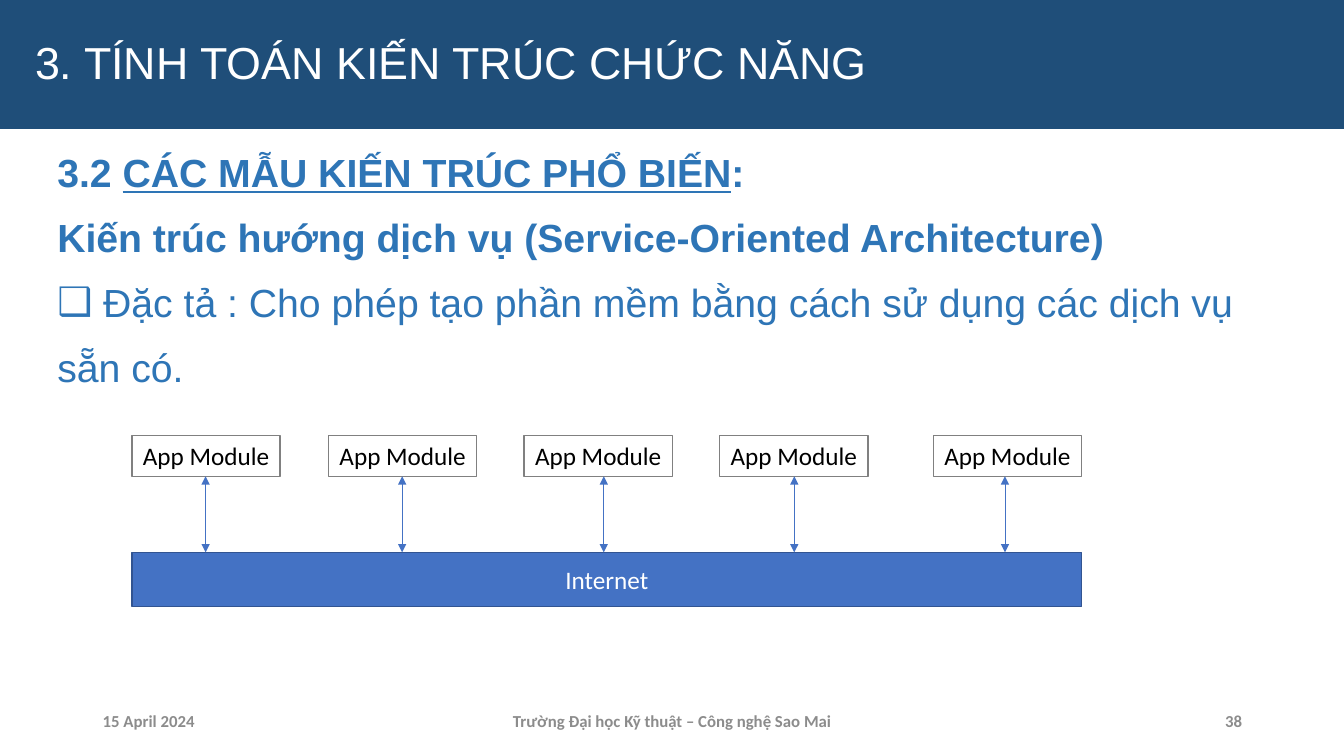
from lxml import etree
from pptx import Presentation
from pptx.dml.color import RGBColor
from pptx.enum.shapes import MSO_CONNECTOR, MSO_SHAPE
from pptx.enum.text import MSO_ANCHOR, PP_ALIGN
from pptx.oxml.ns import qn
from pptx.util import Inches, Pt

RECT = MSO_SHAPE.RECTANGLE
LINE = MSO_CONNECTOR.STRAIGHT
TOP, MID = MSO_ANCHOR.TOP, MSO_ANCHOR.MIDDLE
LEFT, CENTER, RIGHT = PP_ALIGN.LEFT, PP_ALIGN.CENTER, PP_ALIGN.RIGHT
CELL = Inches(0.1)
COLS, ROWS = 133.33, 75
NAVY, BLUE, ACCENT, EDGE = "1F4E79", "2E75B6", "4472C4", "325491"
WHITE, BLACK, GRAY, MUTED = "FFFFFF", "000000", "808080", "8C8C8C"


def color(code):
    return RGBColor.from_string(code)


def grid(*cells):
    return [round(cell * CELL) for cell in cells]


def style(run, size, font, code, bold=False, under=False):
    run.font.size = Pt(size)
    run.font.name = font
    run.font.color.rgb = color(code)
    run.font.bold = bold
    run.font.underline = under


def write(shape, text, size, font, code, align=CENTER, bold=False, wrap=True):
    frame = shape.text_frame
    frame.text = text
    frame.word_wrap = wrap
    frame.vertical_anchor = MID
    para = frame.paragraphs[0]
    para.alignment = align
    style(para.runs[0], size, font, code, bold)
    return para


def panel(slide, box, fill=None, edge=None):
    shape = slide.shapes.add_shape(RECT, *grid(*box))
    shape.shadow.inherit = False
    if fill:
        shape.fill.solid()
        shape.fill.fore_color.rgb = color(fill)
    else:
        shape.fill.background()
    if edge:
        shape.line.color.rgb = color(edge)
        shape.line.width = Pt(1)
    else:
        shape.line.fill.background()
    return shape


def arrow(slide, x, top, end):
    link = slide.shapes.add_connector(LINE, *grid(x, top, x, end))
    link.line.color.rgb = color(ACCENT)
    link.line.width = Pt(0.5)
    props = link._element.spPr
    for tag in ("a:headEnd", "a:tailEnd"):
        etree.SubElement(link.line._get_or_add_ln(), qn(tag), type="triangle")
    etree.SubElement(props, qn("a:effectLst"))


def bullet(para, mark):
    props = para._p.get_or_add_pPr()
    props.set("marL", str(Inches(0.25)))
    props.set("indent", str(-Inches(0.25)))
    etree.SubElement(props, qn("a:buFont"), typeface="Arial")
    etree.SubElement(props, qn("a:buChar"), char=mark)


def header(slide, box):
    bar = panel(slide, box, NAVY)
    para = write(bar, "3. TÍNH TOÁN KIẾN TRÚC CHỨC NĂNG", 32, "Arial", WHITE, LEFT)
    para.line_spacing = 0.9
    para._p.get_or_add_pPr().set("marL", str(Inches(0.25)))


def body(slide, box):
    lines = [
        (["3.2 ", "CÁC MẪU KIẾN TRÚC PHỔ BIẾN", ":"], True, None),
        (["Kiến trúc hướng dịch vụ (Service-Oriented Architecture)"], True, None),
        ([" Đặc tả : Cho phép tạo phần mềm bằng cách sử dụng các dịch vụ"], False, "❑"),
        (["sẵn có."], False, None),
    ]
    frame = slide.shapes.add_textbox(*grid(*box)).text_frame
    frame.word_wrap = True
    frame.vertical_anchor = TOP
    for row, (parts, bold, mark) in enumerate(lines):
        para = frame.add_paragraph() if row else frame.paragraphs[0]
        para.line_spacing = 0.9
        para.space_before = Pt(10)
        para.space_after = Pt(6)
        if mark:
            bullet(para, mark)
        for part, text in enumerate(parts):
            run = para.add_run()
            run.text = text
            style(run, 28, "Arial", BLUE, bold, part == 1)


def diagram(slide, box):
    left, top, width, height = box
    wide, tall, base = 14.7, 4.05, 5.4
    floor = top + height - base
    bar = panel(slide, (left, floor, width, base), ACCENT, EDGE)
    write(bar, "Internet", 18, "Calibri", WHITE)
    stops = [(0, 7.3), (19.5, 26.8), (38.9, 46.8), (58.3, 65.7), (79.5, 86.6)]
    for start, stem in stops:
        unit = panel(slide, (left + start, top, wide, tall), edge=GRAY)
        write(unit, "App Module", 18, "Calibri", BLACK, wrap=False)
        arrow(slide, left + stem, top + tall, floor)


def footer(slide, box):
    left, top, width, height = box
    side, mid = 30, 45
    parts = [
        ("15 April 2024", left, side, LEFT),
        ("Trường Đại học Kỹ thuật – Công nghệ Sao Mai", left + (width - mid) / 2, mid, CENTER),
        ("38", left + width - side, side, RIGHT),
    ]
    for text, x, span, align in parts:
        note = slide.shapes.add_textbox(*grid(x, top, span, height))
        write(note, text, 12, "Calibri", MUTED, align, True)


def main():
    deck = Presentation()
    deck.slide_width, deck.slide_height = grid(COLS, ROWS)
    slide = deck.slides.add_slide(deck.slide_layouts[6])
    header(slide, (0, 0, COLS, 12.8))
    body(slide, (4.7, 14.8, 124.3, 53.7))
    footer(slide, (9.2, 69.5, 115, 4))
    diagram(slide, (13.1, 43.2, 94.2, 17))
    deck.save("out.pptx")


if __name__ == "__main__":
    main()
